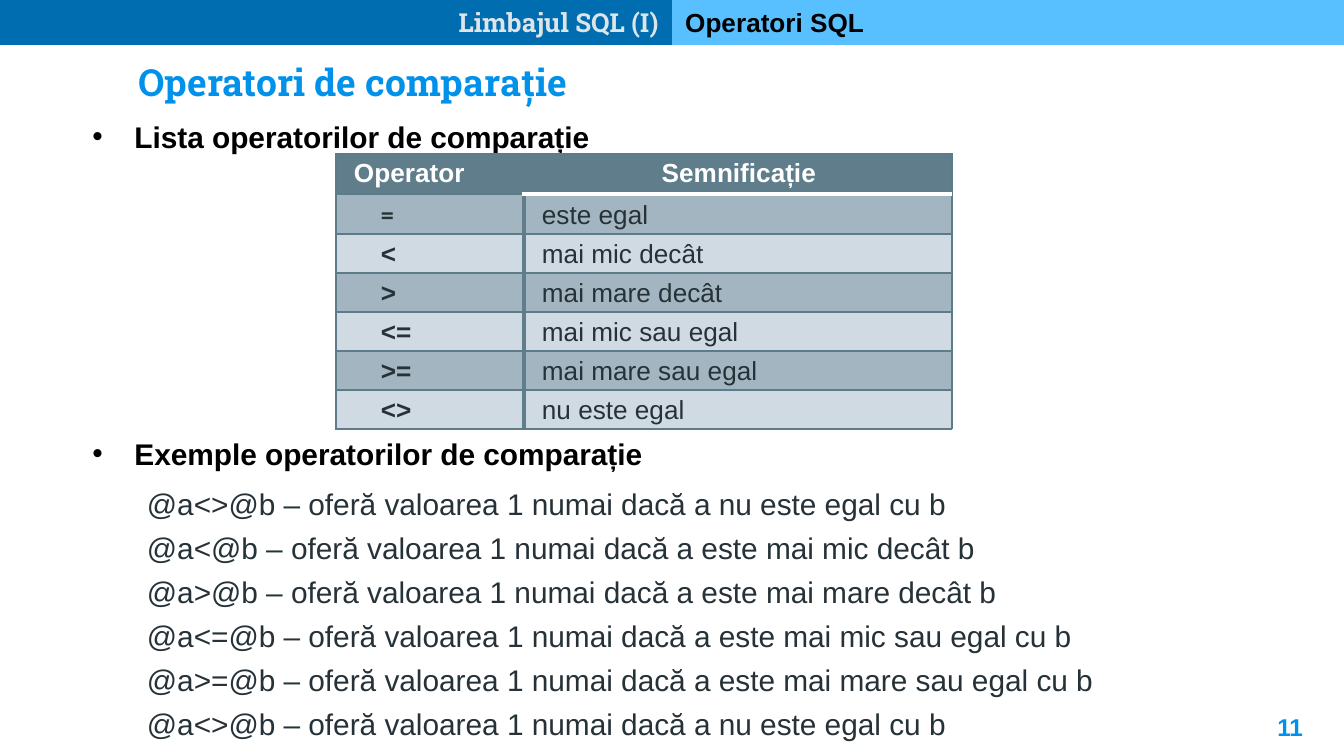
from dataclasses import dataclass

from lxml.etree import SubElement
from pptx import Presentation
from pptx.dml.color import RGBColor
from pptx.enum.shapes import MSO_SHAPE
from pptx.enum.text import MSO_ANCHOR, MSO_AUTO_SIZE, PP_ALIGN
from pptx.oxml.ns import qn
from pptx.util import Pt

EMU_PER_PX = 914400 / 134.4
PLAIN_TABLE_STYLE = "{2D5ABB26-0587-4C30-8999-92F81FD0307C}"
BLACK, WHITE, INK, ACCENT = "000000", "FFFFFF", "263238", "0091EA"
SLATE, GRID, DARK_BAND, LIGHT_BAND = "607D8B", "5D7B89", "A3B5C0", "CFDAE3"


@dataclass(frozen=True)
class Style:
    size: int
    color: str
    bold: bool = True
    font: str = "Arial"
    align: PP_ALIGN = PP_ALIGN.LEFT
    spacing: float = 1.0
    bullet_indent: int = 0


@dataclass(frozen=True)
class Bar:
    left: int
    fill: str
    text: str
    style: Style


@dataclass(frozen=True)
class Operator:
    symbol: str
    meaning: str
    font: str = "Arial"


BARS = [
    Bar(672, "59C0FF", "Operatori SQL", Style(14, BLACK)),
    Bar(0, "006DB0", "Limbajul SQL (I)",
        Style(14, "DEE5E9", font="Roboto Slab", align=PP_ALIGN.RIGHT)),
]
OPERATORS = [
    Operator("=", "este egal", "Calibri"),
    Operator("<", "mai mic decât"),
    Operator(">", "mai mare decât"),
    Operator("<=", "mai mic sau egal"),
    Operator(">=", "mai mare sau egal"),
    Operator("<>", "nu este egal"),
]
EXAMPLES = [
    ("@a<>@b", "nu este egal cu b"),
    ("@a<@b", "este mai mic decât b"),
    ("@a>@b", "este mai mare decât b"),
    ("@a<=@b", "este mai mic sau egal cu b"),
    ("@a>=@b", "este mai mare sau egal cu b"),
    ("@a<>@b", "nu este egal cu b"),
]


def px(length: int) -> int:
    """Turn pixels into EMU."""
    return round(length * EMU_PER_PX)


def rgb(color: str) -> RGBColor:
    """Turn a hex string into a colour."""
    return RGBColor.from_string(color)


def place(shape, left: int, top: int, width: int, height: int) -> None:
    """Move and size a shape."""
    shape.left, shape.top = px(left), px(top)
    shape.width, shape.height = px(width), px(height)


def write(frame, text: str, style: Style) -> None:
    """Fill a text frame with one formatted paragraph."""
    frame.text = text
    paragraph = frame.paragraphs[0]
    paragraph.alignment = style.align
    paragraph.line_spacing = style.spacing
    paragraph.space_before = Pt(0)
    if style.bullet_indent:
        properties = paragraph._p.get_or_add_pPr()
        properties.set("marL", str(px(style.bullet_indent)))
        properties.set("indent", str(px(-style.bullet_indent)))
        SubElement(properties, qn("a:buChar"), char="•")
    paragraph.font.name = style.font
    paragraph.font.size = Pt(style.size)
    paragraph.font.bold = style.bold
    paragraph.font.color.rgb = rgb(style.color)


def draw_bar(slide, bar: Bar) -> None:
    """Draw one half of the top band."""
    shape = slide.shapes.add_shape(MSO_SHAPE.RECTANGLE, px(bar.left), 0, px(672), px(45))
    shape.shadow.inherit = False
    shape.fill.solid()
    shape.fill.fore_color.rgb = rgb(bar.fill)
    shape.line.fill.background()
    shape.text_frame.vertical_anchor = MSO_ANCHOR.MIDDLE
    write(shape.text_frame, bar.text, bar.style)


def fill_heading(placeholder, top: int, text: str) -> None:
    """Turn a body placeholder into a bulleted heading."""
    place(placeholder, 79, top, 710, 50)
    placeholder.text_frame.auto_size = MSO_AUTO_SIZE.NONE
    write(placeholder.text_frame, text, Style(16, BLACK, bullet_indent=42))


def add_plain_table(slide, left: int, top: int, columns: list[int], rows: list[int]):
    """Add a table with no style and the given column and row sizes."""
    frame = slide.shapes.add_table(len(rows), len(columns), px(left), px(top),
                                   px(sum(columns)), px(sum(rows)))
    table = frame.table
    table._tbl.tblPr.find(qn("a:tableStyleId")).text = PLAIN_TABLE_STYLE
    for column, width in zip(table.columns, columns):
        column.width = px(width)
    for row, height in zip(table.rows, rows):
        row.height = px(height)
    return table


def fill_cell(cell, text: str, style: Style, left_margin: int = 18, fill: str | None = None,
              anchor: MSO_ANCHOR = MSO_ANCHOR.MIDDLE) -> None:
    """Write one table cell and set its margins and fill."""
    cell.margin_left = px(left_margin)
    cell.margin_top = cell.margin_right = cell.margin_bottom = px(3)
    cell.vertical_anchor = anchor
    if fill:
        cell.fill.solid()
        cell.fill.fore_color.rgb = rgb(fill)
    else:
        cell.fill.background()
    write(cell.text_frame, text, style)


def border_cell(cell, **edges: tuple[str, float]) -> None:
    """Draw the four cell edges, thin unless given as colour and points."""
    properties = cell._tc.get_or_add_tcPr()
    for position, side in enumerate("LRTB"):
        color, width = edges.get(side, (GRID, 0.75))
        line = properties.makeelement(qn(f"a:ln{side}"), {"w": str(Pt(width))})
        SubElement(SubElement(line, qn("a:solidFill")), qn("a:srgbClr"), val=color)
        properties.insert(position, line)


def draw_operators(slide) -> None:
    """Draw the table of operators and their meanings."""
    table = add_plain_table(slide, 336, 154, [188, 428], [40] + [39] * len(OPERATORS))
    divider, rule = (SLATE, 2), (WHITE, 2)
    header = Style(14, WHITE, spacing=1.07)
    centered = Style(14, WHITE, align=PP_ALIGN.CENTER, spacing=1.07)
    fill_cell(table.cell(0, 0), "Operator", header, fill=SLATE, anchor=MSO_ANCHOR.TOP)
    fill_cell(table.cell(0, 1), "Semnificație", centered, 5, SLATE, MSO_ANCHOR.TOP)
    border_cell(table.cell(0, 0), R=divider)
    border_cell(table.cell(0, 1), L=divider, B=rule)
    for row, operator in enumerate(OPERATORS, 1):
        fill = DARK_BAND if row % 2 else LIGHT_BAND
        symbol, meaning = table.cell(row, 0), table.cell(row, 1)
        fill_cell(symbol, operator.symbol, Style(14, INK, font=operator.font, spacing=1.07), 45, fill)
        fill_cell(meaning, operator.meaning, Style(14, INK, bold=False, spacing=1.07), fill=fill)
        border_cell(symbol, R=divider)
        if row == 1:
            border_cell(meaning, L=divider, T=rule)
        else:
            border_cell(meaning, L=divider)


def draw_examples(slide) -> None:
    """Draw the list of example comparisons."""
    table = add_plain_table(slide, 129, 482, [1030], [44] * len(EXAMPLES))
    style = Style(16, INK, bold=False, spacing=1.07)
    for row, (expression, condition) in enumerate(EXAMPLES):
        text = f"{expression} – oferă valoarea 1 numai dacă a {condition}"
        fill_cell(table.cell(row, 0), text, style)


def main() -> None:
    """Build and save the slide."""
    presentation = Presentation()
    presentation.slide_width, presentation.slide_height = px(1344), px(756)
    slide = presentation.slides.add_slide(presentation.slide_layouts[3])
    title, first_heading, second_heading = slide.placeholders

    place(title, 125, 52, 460, 60)
    title.text_frame.auto_size = MSO_AUTO_SIZE.NONE
    title.text_frame.word_wrap = False
    write(title.text_frame, "Operatori de comparație", Style(20, ACCENT, font="Roboto Slab"))
    fill_heading(first_heading, 112, "Lista operatorilor de comparație")
    fill_heading(second_heading, 429, "Exemple operatorilor de comparație")

    draw_operators(slide)
    draw_examples(slide)
    for bar in BARS:
        draw_bar(slide, bar)

    number = slide.shapes.add_textbox(px(1235), px(698), px(81), px(58))
    number.text_frame.word_wrap = True
    number.text_frame.vertical_anchor = MSO_ANCHOR.MIDDLE
    write(number.text_frame, "11", Style(13, ACCENT, align=PP_ALIGN.RIGHT))
    presentation.save("out.pptx")


if __name__ == "__main__":
    main()
